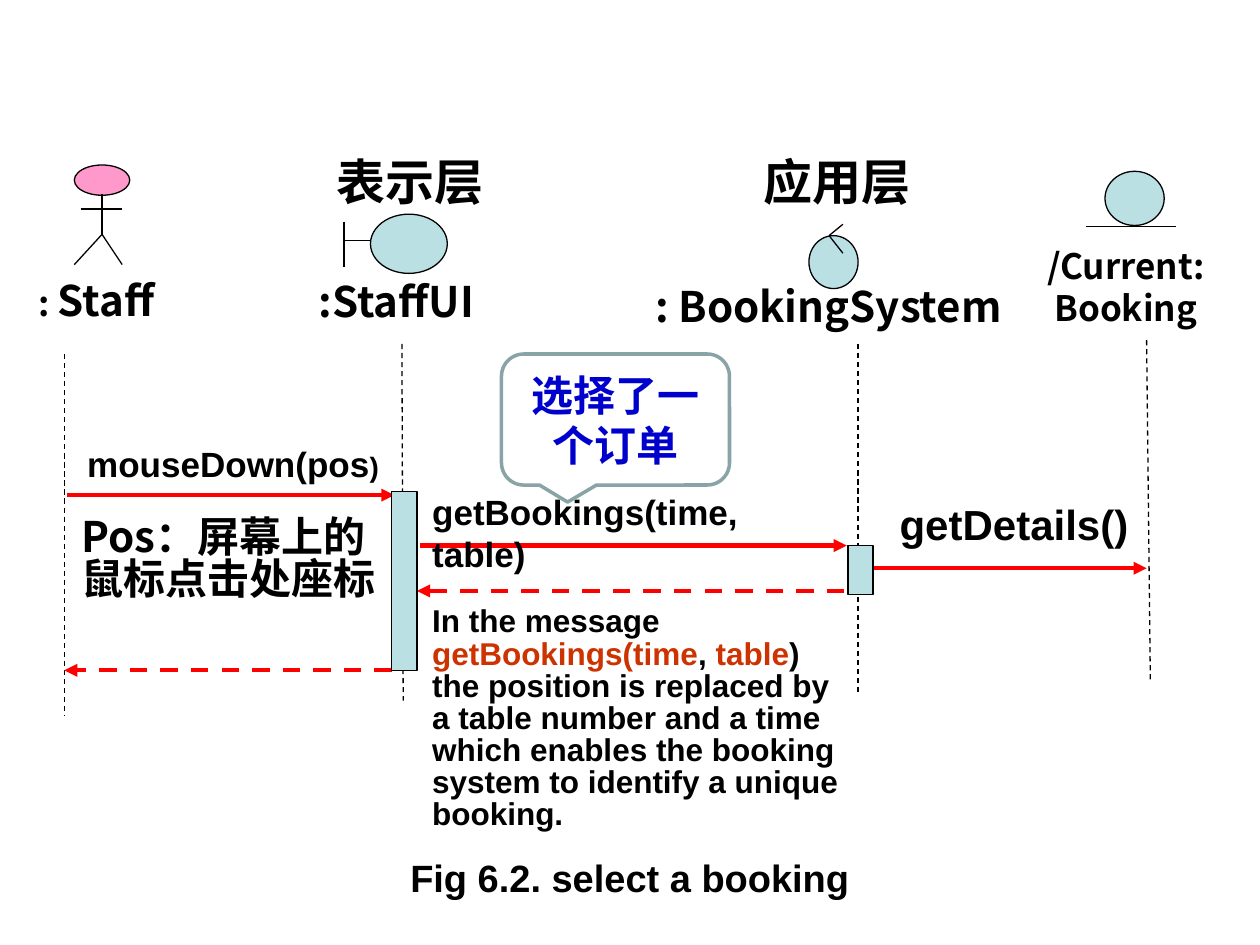
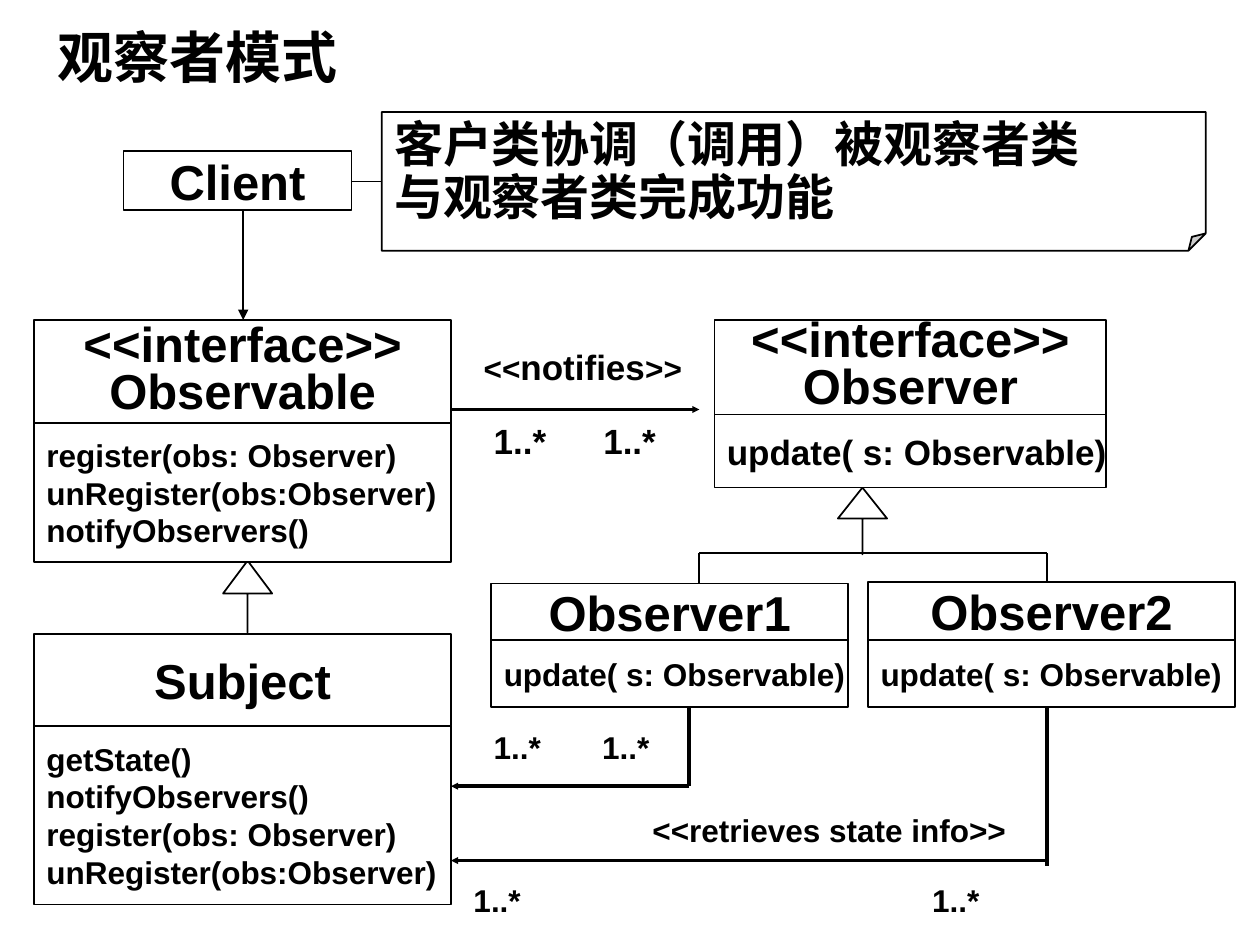
from dataclasses import dataclass

from lxml.etree import SubElement
from pptx import Presentation
from pptx.dml.color import RGBColor
from pptx.enum.dml import MSO_LINE
from pptx.enum.shapes import MSO_CONNECTOR, MSO_SHAPE as SHAPE
from pptx.enum.text import MSO_ANCHOR as ANCHOR, PP_ALIGN as ALIGN
from pptx.oxml.ns import qn
from pptx.util import Inches, Pt


@dataclass(frozen=True)
class Theme:
    black: str = "000000"
    white: str = "FFFFFF"
    red: str = "FF0000"
    pink: str = "FF99CC"
    aqua: str = "BBE0E3"
    blue: str = "0000CC"
    rust: str = "CC3300"
    callout: str = "89A4A7"
    latin: str = "Arial"
    cjk: str = "Noto Sans CJK SC"
    bracket: float = 16
    body: float = 18
    label: float = 20
    caption: float = 21.7
    name: float = 24
    heading: float = 28
    title: float = 32
    thin: float = 0.75
    outline: float = 1
    bold: float = 2
    message: float = 2.5


theme = Theme()
deck = Presentation()
deck.slide_width, deck.slide_height = Inches(10), Inches(7.5)
# Every place is (column, row, columns, rows) on a grid of 100 by 75 square cells
CELL = deck.slide_width // 100


def draw(page, area, lines=(), shape=None, fill=None, edge=None, weight=theme.outline,
         size=theme.body, font=theme.latin, color=theme.black, align=ALIGN.LEFT,
         anchor=ANCHOR.TOP, wrap=True, pad=(1, 0.5), spacing=None, tab=None, adjust=None):
    """Place a shape or a text box; a line is a string or a list of (text, color, size)."""
    place = [round(cells * CELL) for cells in area]
    box = page.shapes.add_shape(shape, *place) if shape else page.shapes.add_textbox(*place)
    if shape:
        box.shadow.inherit = False
    if adjust:
        guides = box._element.spPr.find(qn("a:prstGeom")).get_or_add_avLst()
        guides.clear()
        for guide, value in adjust.items():
            SubElement(guides, qn("a:gd"), name=guide, fmla=f"val {round(value * 100000)}")
    if fill:
        box.fill.solid()
        box.fill.fore_color.rgb = RGBColor.from_string(fill)
    if edge:
        box.line.color.rgb = RGBColor.from_string(edge)
        box.line.width = Pt(weight)
    frame = box.text_frame
    frame.word_wrap, frame.vertical_anchor = wrap, anchor
    frame.margin_left = frame.margin_right = round(pad[0] * CELL)
    frame.margin_top = frame.margin_bottom = round(pad[1] * CELL)
    for index, line in enumerate(lines):
        para = frame.add_paragraph() if index else frame.paragraphs[0]
        para.alignment = align
        if spacing:
            para.line_spacing = spacing
        if tab:
            stops = SubElement(para._p.get_or_add_pPr(), qn("a:tabLst"))
            SubElement(stops, qn("a:tab"), pos=str(round(tab * CELL)), algn="l")
        para.font.name, para.font.size, para.font.bold = font, Pt(size), True
        para.font.color.rgb = RGBColor.from_string(color)
        SubElement(para._p.pPr.find(qn("a:defRPr")), qn("a:ea"), typeface=font)
        for text, run_color, run_size in [(line, None, None)] if isinstance(line, str) else line:
            span = para.add_run()
            span.text = text
            if run_color:
                span.font.color.rgb = RGBColor.from_string(run_color)
            if run_size:
                span.font.size = Pt(run_size)
    return box


def link(page, start, end, color=theme.black, weight=theme.thin, dashed=False, head=None):
    """Join two grid points; head is the arrowhead size, if there is one."""
    ends = [round(cells * CELL) for cells in (*start, *end)]
    joint = page.shapes.add_connector(MSO_CONNECTOR.STRAIGHT, *ends)
    joint.line.color.rgb = RGBColor.from_string(color)
    joint.line.width = Pt(weight)
    if dashed:
        joint.line.dash_style = MSO_LINE.DASH
    if head:
        SubElement(joint.line._get_or_add_ln(), qn("a:tailEnd"), type="triangle", w=head, len=head)
    SubElement(joint._element.spPr, qn("a:effectLst"))


# ---- Slide 1: sequence diagram ----
page = deck.slides.add_slide(deck.slide_layouts[6])
draw(page, (5, 68.6, 90, 3.5), ["Fig 6.2. select a booking"], size=theme.caption,
     align=ALIGN.CENTER, spacing=0.6)

# Lifelines
for start, end in [((5.1, 28.1), (5.1, 56.8)), ((31.9, 27.3), (32, 55.6)),
                   ((68.1, 27.3), (68.1, 55.2)), ((91, 27), (91.3, 54.2))]:
    link(page, start, end, dashed=True)

# Symbols of the actor, boundary, control and entity
for area, fill in [((5.9, 13.1, 4.4, 2.4), theme.pink), ((29.4, 17, 6.1, 4.7), theme.aqua),
                   ((64.2, 18.7, 3.9, 4.2), theme.aqua), ((87.7, 13.6, 4.7, 4.3), theme.aqua)]:
    draw(page, area, shape=SHAPE.OVAL, fill=fill, edge=theme.black, weight=theme.thin)
for start, end in [((8.1, 15.4), (8.1, 18.6)), ((6.4, 16.6), (9.7, 16.6)),
                   ((8.1, 18.6), (5.9, 21)), ((8.1, 18.6), (9.7, 21)),
                   ((27.3, 17.6), (27.3, 21.2)), ((27.3, 19.1), (29.4, 19.1)),
                   ((66.9, 17.8), (65.8, 18.7)), ((65.8, 18.7), (66.9, 20.1)),
                   ((86.2, 18), (93.3, 18))]:
    link(page, start, end)

# Names of the participants and their layers
for area, line, size, pad in [
        ((1.9, 21.8, 11.5, 4), [(": ", None, theme.label), ("Staff", None, None)], theme.name, (0, 0)),
        ((23.2, 21.9, 16.5, 4), ":StaffUI", theme.name, (0, 0)),
        ((50, 22.3, 31.5, 4), ": BookingSystem", theme.name, (0, 0)),
        ((80.7, 18.9, 17.3, 7.7), "/Current: Booking", theme.label, (1, 0.5)),
        ((24.3, 11.5, 16.5, 5.7), "表示层", theme.heading, (0, 0.5)),
        ((58.9, 12, 15, 4.7), "应用层", theme.heading, (0, 0))]:
    draw(page, area, [line], size=size, font=theme.cjk, align=ALIGN.CENTER, pad=pad)

# Messages and replies
for start, end, reply in [((5.3, 39.3), (31.3, 39.3), False), ((33.3, 43.3), (67.2, 43.3), False),
                          ((69.4, 45.1), (91, 45.1), False), ((67, 46.9), (33.1, 46.9), True),
                          ((31.1, 53.2), (5.1, 53.2), True)]:
    link(page, start, end, theme.red, theme.message, dashed=reply, head="med")

# Activation bars
for area in [(31.1, 39, 2, 14.2), (67.3, 43.3, 2, 3.9)]:
    draw(page, area, shape=SHAPE.RECTANGLE, fill=theme.aqua, edge=theme.black, weight=theme.thin)

# Message texts
draw(page, (6.7, 35.1, 23.6, 3.3), [[("mouseDown(pos", None, None), (")", None, theme.bracket)]],
     size=theme.label, align=ALIGN.CENTER, pad=(0, 0))
draw(page, (34.3, 38.9, 31.5, 6.7), ["getBookings(time, table)"], size=theme.label, pad=(0, 0))
draw(page, (71.4, 39.6, 18.7, 4), ["getDetails()"], size=theme.name, pad=(0, 0))
draw(page, (6.5, 41.1, 24.4, 6.8), ["Pos：屏幕上的鼠标点击处座标"], size=theme.name,
     font=theme.cjk, pad=(0, 0), spacing=0.85)
draw(page, (34.3, 47.7, 33.1, 18.9),
     ["In the message",
      [("getBookings(time", theme.rust, None), (", ", None, None), ("table", theme.rust, None),
       (") the position is replaced by a table number and a time which enables the booking "
        "system to identify a unique booking.", None, None)]],
     pad=(0, 0.5), spacing=0.85)
draw(page, (39.8, 28.1, 18.1, 10.4), ["选择了一", "个订单"], SHAPE.ROUNDED_RECTANGULAR_CALLOUT,
     theme.white, theme.callout, theme.bold, theme.name, theme.cjk, theme.blue, ALIGN.CENTER,
     ANCHOR.MIDDLE, adjust={"adj1": -0.21, "adj2": 0.63, "adj3": 0.17})

# ---- Slide 2: class diagram ----
page = deck.slides.add_slide(deck.slide_layouts[6])
draw(page, (3.5, 1.3, 24.4, 6.4), ["观察者模式"], size=theme.title, font=theme.cjk,
     align=ALIGN.CENTER)

# Generalisation arrows
for area, head in [((17.7, 44.5, 3.9, 5.7), 0.67), ((66.5, 38.7, 3.9, 5.3), 0.63)]:
    draw(page, area, shape=SHAPE.UP_ARROW, fill=theme.white, edge=theme.black,
         adjust={"adj1": 0, "adj2": head})

# Classes: left, top, width, name rows, member rows, name, members, member size
update = ["update( s: Observable)"]
for left, top, width, name_rows, member_rows, name, members, size in [
        (9.8, 12, 18.1, 4.7, 0, ["Client"], [], theme.body),
        (2.7, 25.4, 33.1, 8.2, 11, ["<<interface>>", "Observable"],
         ["register(obs: Observer)", "unRegister(obs:Observer)", "notifyObservers()"], theme.body),
        (2.7, 50.3, 33.1, 7.3, 14.2, ["Subject"],
         ["getState()", "notifyObservers()", "register(obs: Observer)",
          "unRegister(obs:Observer)"], theme.body),
        (56.7, 25.4, 31.1, 7.5, 5.8, ["<<interface>>", "Observer"], update, theme.label),
        (39, 46.3, 28.3, 4.5, 5.3, ["Observer1"], update, theme.body),
        (68.9, 46.2, 29.1, 4.6, 5.3, ["Observer2"], update, theme.body)]:
    draw(page, (left, top, width, name_rows), name, SHAPE.RECTANGLE, theme.white, theme.black,
         size=theme.heading, align=ALIGN.CENTER, anchor=ANCHOR.MIDDLE, wrap=False,
         spacing=0.8 if len(name) > 1 else None)
    if members:
        draw(page, (left, top + name_rows, width, member_rows), members, SHAPE.RECTANGLE,
             theme.white, theme.black, size=size, anchor=ANCHOR.MIDDLE, wrap=False)

# Note on the client
draw(page, (30.3, 8.9, 65.4, 11), ["客户类协调（调用）被观察者类", "与观察者类完成功能"],
     SHAPE.FOLDED_CORNER, theme.white, theme.black, size=theme.heading, font=theme.cjk,
     anchor=ANCHOR.MIDDLE, wrap=False, spacing=0.9, adjust={"adj": 0.125})

# Thin links: inheritance tree, client to subject, client to note
for start, end, head in [((55.5, 43.9), (83.1, 43.9), None), ((55.5, 43.9), (55.5, 46.3), None),
                         ((83.1, 43.9), (83.1, 46.2), None), ((19.3, 16.7), (19.3, 25.4), "med"),
                         ((27.9, 14.4), (30.3, 14.4), None)]:
    link(page, start, end, weight=theme.outline, head=head)

# Bold links: associations
for start, end, head in [((35.8, 32.5), (55.5, 32.5), "sm"), ((54.7, 56.1), (54.7, 62.4), None),
                         ((54.7, 62.4), (35.8, 62.4), "sm"), ((83.1, 56.1), (83.1, 68.7), None),
                         ((83.1, 68.3), (35.8, 68.3), "sm")]:
    link(page, start, end, weight=theme.bold, head=head)

# Association names and multiplicities, the far end set by a tab stop
both_ends = "1..*\t1..*"
for area, line, size, tab in [
        ((37.4, 26.9, 18.9, 4.4),
         [("<<", None, None), ("notifies", None, theme.label), (">>", None, None)], theme.body, None),
        ((50.8, 63.9, 30.7, 4), "<<retrieves state info>>", theme.body, None),
        ((38.2, 32.8, 15, 4.4), both_ends, theme.label, 8.7),
        ((38.2, 57.3, 15, 4), both_ends, theme.body, 8.6),
        ((36.6, 69.4, 45.7, 4), both_ends, theme.body, 36.4)]:
    draw(page, area, [line], size=size, tab=tab)

deck.save("out.pptx")
